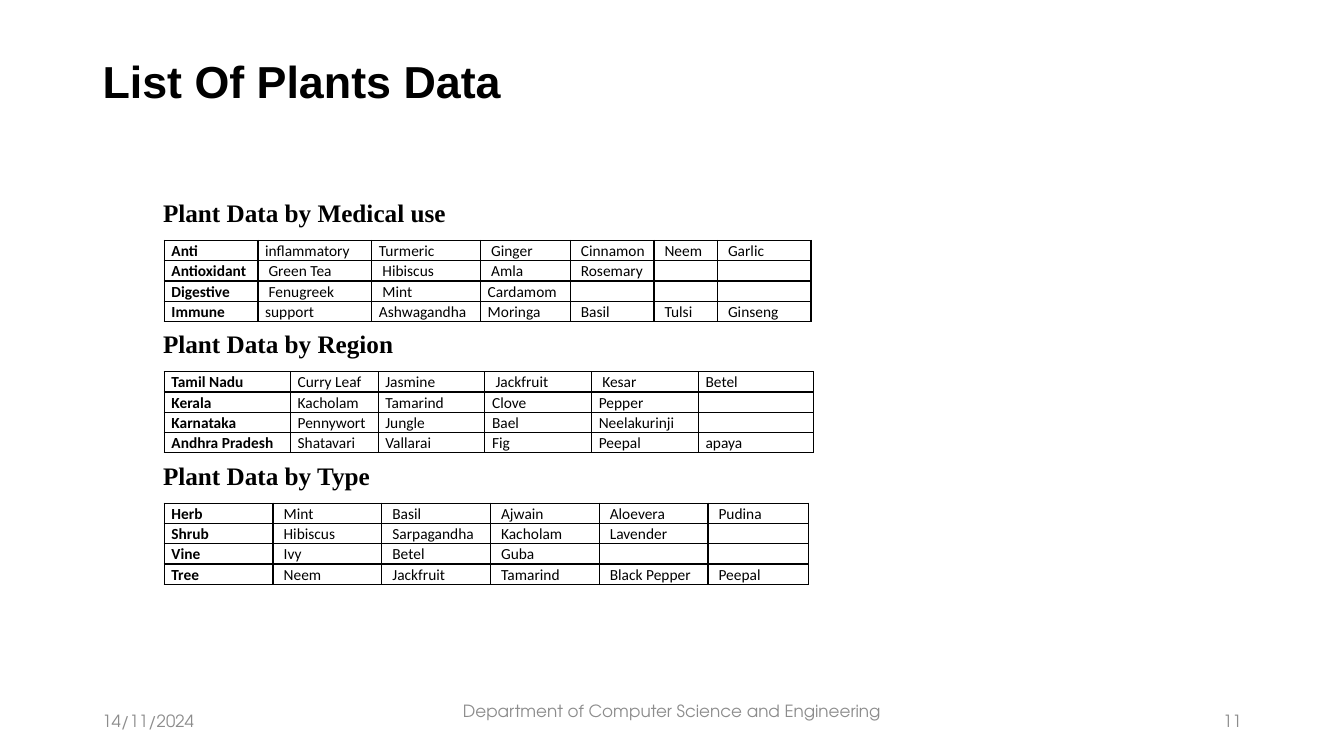
import itertools

import lxml.etree
import pptx
import pptx.dml.color
import pptx.enum.text
import pptx.oxml.ns
import pptx.util

Cm = pptx.util.Cm
Pt = pptx.util.Pt
ALIGN = pptx.enum.text.PP_ALIGN
ANCHOR = pptx.enum.text.MSO_ANCHOR

BLACK = pptx.dml.color.RGBColor(0x00, 0x00, 0x00)
GREY = pptx.dml.color.RGBColor(0x8C, 0x8C, 0x8C)

TITLE_FONT = {"name": "Arial", "size": Pt(32), "bold": True}
HEADING_FONT = {"name": "Times New Roman", "size": Pt(18), "bold": True}
CELL_FONT = {"name": "Calibri", "size": Pt(11)}
FOOTER_FONT = {"name": "TeX Gyre Adventor", "size": Pt(12), "bold": False}

# Heading, column widths in cm, rows
PLANT_GROUPS = [
    ("Plant Data by Medical use", [2.36, 2.87, 2.74, 2.26, 2.11, 1.6, 2.36], [
        ["Anti", "inflammatory", "Turmeric", " Ginger", " Cinnamon", " Neem", " Garlic"],
        ["Antioxidant", " Green Tea", " Hibiscus", " Amla", " Rosemary"],
        ["Digestive", " Fenugreek", " Mint", "Cardamom"],
        ["Immune", "support", "Ashwagandha", "Moringa", " Basil", " Tulsi", " Ginseng"],
    ]),
    ("Plant Data by Region", [3.18, 2.21, 2.69, 2.69, 2.69, 2.9], [
        ["Tamil Nadu", "Curry Leaf", "Jasmine", " Jackfruit", " Kesar", "Betel"],
        ["Kerala", "Kacholam", "Tamarind", "Clove", "Pepper"],
        ["Karnataka", "Pennywort", "Jungle", "Bael", "Neelakurinji"],
        ["Andhra Pradesh", "Shatavari", "Vallarai", "Fig", "Peepal", "apaya"],
    ]),
    ("Plant Data by Type", [2.74] * 5 + [2.54], [
        ["Herb", " Mint", " Basil", " Ajwain", " Aloevera", " Pudina"],
        ["Shrub", " Hibiscus", " Sarpagandha", " Kacholam", " Lavender"],
        ["Vine", " Ivy", " Betel", " Guba"],
        ["Tree", " Neem", " Jackfruit", " Tamarind", " Black Pepper", " Peepal"],
    ]),
]


def write(frame, text, font_format, color=BLACK, align=ALIGN.LEFT):
    paragraph = frame.paragraphs[0]
    paragraph.alignment = align
    run = paragraph.add_run()
    run.text = text
    for attribute, value in font_format.items():
        setattr(run.font, attribute, value)
    run.font.color.rgb = color
    return paragraph


def place_title(slide, left, top, width, height):
    title = slide.shapes.title
    title.left, title.top, title.width, title.height = left, top, width, height
    frame_format = {"vertical_anchor": ANCHOR.MIDDLE, "word_wrap": True,
                    "auto_size": pptx.enum.text.MSO_AUTO_SIZE.NONE,
                    "margin_bottom": Cm(1.57)}
    for attribute, value in frame_format.items():
        setattr(title.text_frame, attribute, value)
    write(title.text_frame, "List Of Plants Data", TITLE_FONT).line_spacing = 0.9


def add_text(slide, box, text, font_format, color=BLACK, align=ALIGN.LEFT, **frame_format):
    frame = slide.shapes.add_textbox(*box).text_frame
    frame.word_wrap = True
    for attribute, value in frame_format.items():
        setattr(frame, attribute, value)
    write(frame, text, font_format, color, align)


def add_borders(cell):
    properties = cell._tc.get_or_add_tcPr()
    for side in ("a:lnL", "a:lnR", "a:lnT", "a:lnB"):
        line = lxml.etree.SubElement(properties, pptx.oxml.ns.qn(side), w=str(Pt(1)))
        fill = lxml.etree.SubElement(line, pptx.oxml.ns.qn("a:solidFill"))
        lxml.etree.SubElement(fill, pptx.oxml.ns.qn("a:srgbClr"), val=str(BLACK))


def fill_cell(cell, text, is_label):
    add_borders(cell)
    cell.fill.background()
    cell_format = {"margin_left": Cm(0.18), "margin_right": Cm(0.18),
                   "margin_top": 0, "margin_bottom": 0}
    for attribute, value in cell_format.items():
        setattr(cell, attribute, value)
    paragraph = cell.text_frame.paragraphs[0]
    paragraph.line_spacing = 1.07
    if text:
        write(cell.text_frame, text, {**CELL_FONT, "bold": is_label})
    else:
        # An empty cell needs its own text size to keep the row low
        paragraph._p.get_or_add_endParaRPr().set("sz", "1100")


def add_plant_group(slide, left, top, heading, widths, rows):
    # Heading
    add_text(slide, (left, top, Cm(16.94), Cm(1.02)), heading, HEADING_FONT)

    # Table below it, aligned with the heading text
    row_height = Cm(0.51)
    table = slide.shapes.add_table(len(rows), len(widths), left + Cm(0.28), top + Cm(1.21),
                                   Cm(sum(widths)), row_height * len(rows)).table
    table.first_row = table.horz_banding = False
    for column, width in zip(table.columns, widths):
        column.width = Cm(width)
    for table_row, plants in zip(table.rows, rows):
        table_row.height = row_height
        for index, (cell, plant) in enumerate(
                itertools.zip_longest(table_row.cells, plants, fillvalue="")):
            fill_cell(cell, plant, index == 0)


def add_footer(slide, left, top, width, height):
    side_width, middle_width = Cm(7.62), Cm(11.43)
    middle_left = left + (width - middle_width) // 2
    right_left = left + width - side_width
    parts = [
        ("14/11/2024", left, side_width, ALIGN.LEFT, Cm(0.13)),
        ("Department of Computer Science and Engineering",
         middle_left, middle_width, ALIGN.CENTER, Cm(0.64)),
        ("11", right_left, side_width, ALIGN.RIGHT, Cm(0.13)),
    ]
    for text, part_left, part_width, align, margin_bottom in parts:
        add_text(slide, (part_left, top, part_width, height), text, FOOTER_FONT, GREY, align,
                 vertical_anchor=ANCHOR.MIDDLE, margin_bottom=margin_bottom)


def main():
    presentation = pptx.Presentation()
    presentation.slide_width, presentation.slide_height = Cm(33.87), Cm(19.05)
    slide = presentation.slides.add_slide(presentation.slide_layouts[5])

    left, width = Cm(2.33), Cm(29.21)
    place_title(slide, left, Cm(1.01), width, Cm(3.68))
    for index, group in enumerate(PLANT_GROUPS):
        add_plant_group(slide, Cm(3.86), Cm(4.85 + 3.31 * index), *group)
    add_footer(slide, left, Cm(17.66), width, Cm(1.01))

    presentation.save("out.pptx")


if __name__ == "__main__":
    main()
